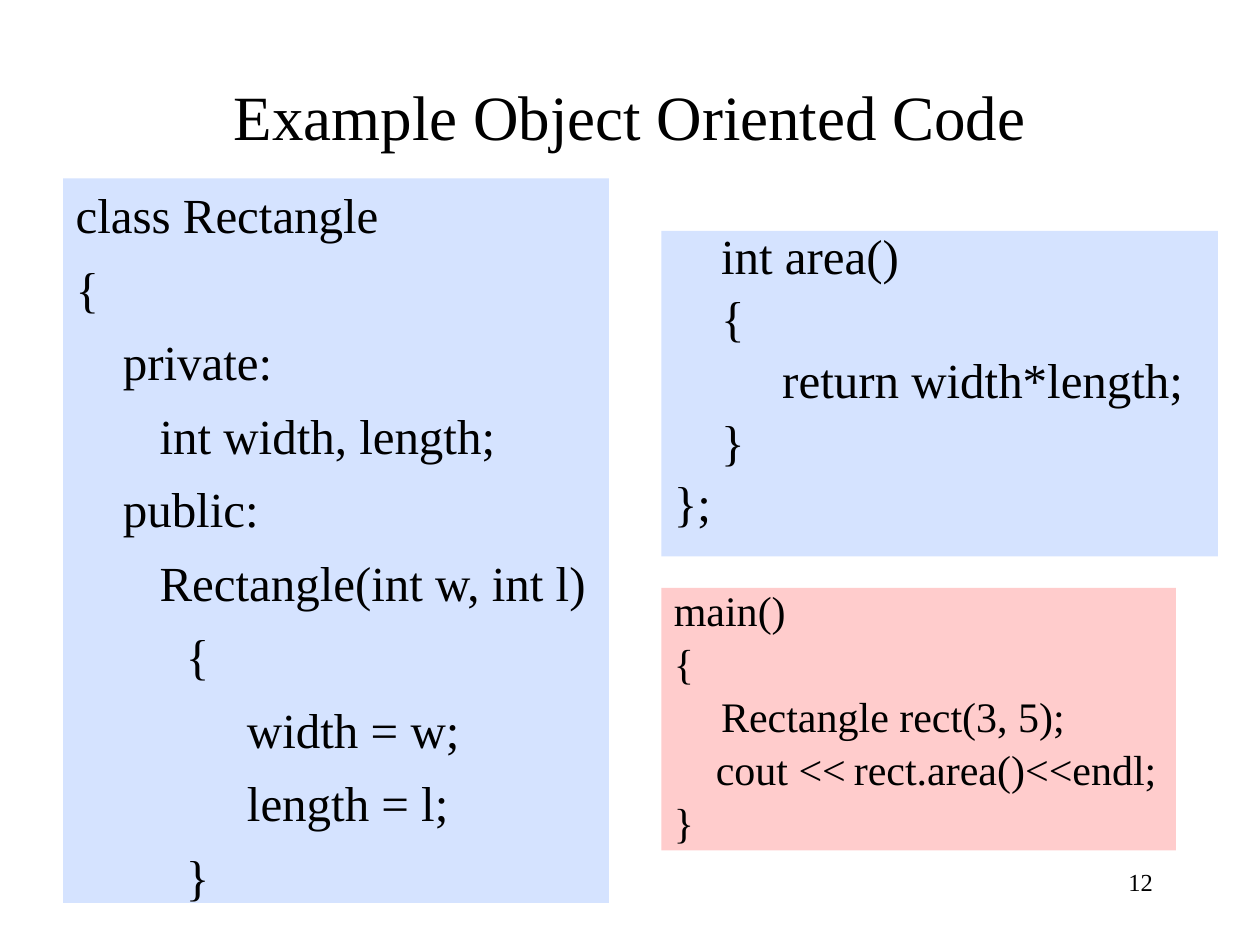
from lxml import etree
from pptx import Presentation
from pptx.dml.color import RGBColor
from pptx.enum.shapes import MSO_SHAPE
from pptx.enum.text import MSO_ANCHOR, MSO_AUTO_SIZE, PP_ALIGN
from pptx.oxml.ns import qn
from pptx.util import Pt

RECTANGLE = MSO_SHAPE.RECTANGLE
TOP, MIDDLE = MSO_ANCHOR.TOP, MSO_ANCHOR.MIDDLE
NO_RESIZE = MSO_AUTO_SIZE.NONE
LEFT, CENTER, RIGHT = PP_ALIGN.LEFT, PP_ALIGN.CENTER, PP_ALIGN.RIGHT
FONT = "Times New Roman"
BLACK, BLUE, PINK = "000000", "D5E3FF", "FFCCCC"
INDENT = 27
TAB_STEP = 72
SPACE_RATIO = 0.3

CLASS_START = [
    "class Rectangle",
    "{",
    "\tprivate:",
    "\t   int width, length;",
    "\tpublic:",
    "\t   Rectangle(int w, int l)",
    "\t\t{",
    "\t\t     width = w;",
    "\t\t     length = l;",
    "\t\t}",
]
CLASS_END = [
    [("\t", 16), ("int area()", 28)],
    "\t{",
    "\t     return width*length;",
    "\t}",
    "};",
]
MAIN_CODE = [
    "main()",
    "{",
    "\tRectangle rect(3, 5);",
    [("    cout <<", 24), (" ", 18), ("rect.area()<<endl;", 24)],
    "}",
]


def color(value):
    return RGBColor.from_string(value)


def place(shape, left, top, width, height):
    shape.left, shape.top = Pt(left), Pt(top)
    shape.width, shape.height = Pt(width), Pt(height)


def set_frame(shape, anchor=TOP):
    frame = shape.text_frame
    frame.word_wrap = True
    frame.auto_size = NO_RESIZE
    frame.vertical_anchor = anchor
    return frame


def add_span(para, text, size):
    span = para.add_run()
    span.text = text
    span.font.name = FONT
    span.font.size = Pt(size)
    span.font.color.rgb = color(BLACK)


def set_code_indent(para):
    properties = para._p.get_or_add_pPr()
    properties.set("marL", str(Pt(INDENT)))
    properties.set("indent", str(Pt(-INDENT)))
    etree.SubElement(properties, qn("a:buNone"))
    tabs = etree.SubElement(properties, qn("a:tabLst"))
    for number in range(8):
        position = str(Pt(number * TAB_STEP))
        etree.SubElement(tabs, qn("a:tab"), pos=position, algn="l")


def fill_code(shape, lines, size, fill, line_spacing):
    shape.fill.solid()
    shape.fill.fore_color.rgb = color(fill)
    frame = set_frame(shape)
    for index, line in enumerate(lines):
        para = frame.add_paragraph() if index else frame.paragraphs[0]
        set_code_indent(para)
        para.alignment = LEFT
        para.line_spacing = line_spacing
        para.space_before = Pt(round(size * SPACE_RATIO, 1) if index else 0)
        spans = [(line, size)] if isinstance(line, str) else line
        for text, span_size in spans:
            add_span(para, text, span_size)


def add_code_box(page, bounds, lines, size, fill):
    box = page.shapes.add_shape(RECTANGLE, 0, 0, 0, 0)
    place(box, *bounds)
    box.shadow.inherit = False
    box.line.fill.background()
    fill_code(box, lines, size, fill, 0.8)


def fill_label(shape, text, size, alignment, anchor=TOP):
    para = set_frame(shape, anchor).paragraphs[0]
    para.alignment = alignment
    add_span(para, text, size)


def main():
    deck = Presentation()
    deck.slide_width, deck.slide_height = Pt(720), Pt(540)
    page = deck.slides.add_slide(deck.slide_layouts[1])

    title = page.shapes.title
    place(title, 54, 36, 612, 60)
    fill_label(title, "Example Object Oriented Code", 36, CENTER, MIDDLE)

    body = page.placeholders[1]
    place(body, 36, 102, 312, 414)
    fill_code(body, CLASS_START, 28, BLUE, 1.0)

    add_code_box(page, (378, 336, 294, 150), MAIN_CODE, 24, PINK)
    add_code_box(page, (378, 132, 318, 186), CLASS_END, 28, BLUE)

    number = page.shapes.add_textbox(Pt(516), Pt(492), Pt(150), Pt(36))
    fill_label(number, "12", 14, RIGHT)

    deck.save("out.pptx")


if __name__ == "__main__":
    main()
